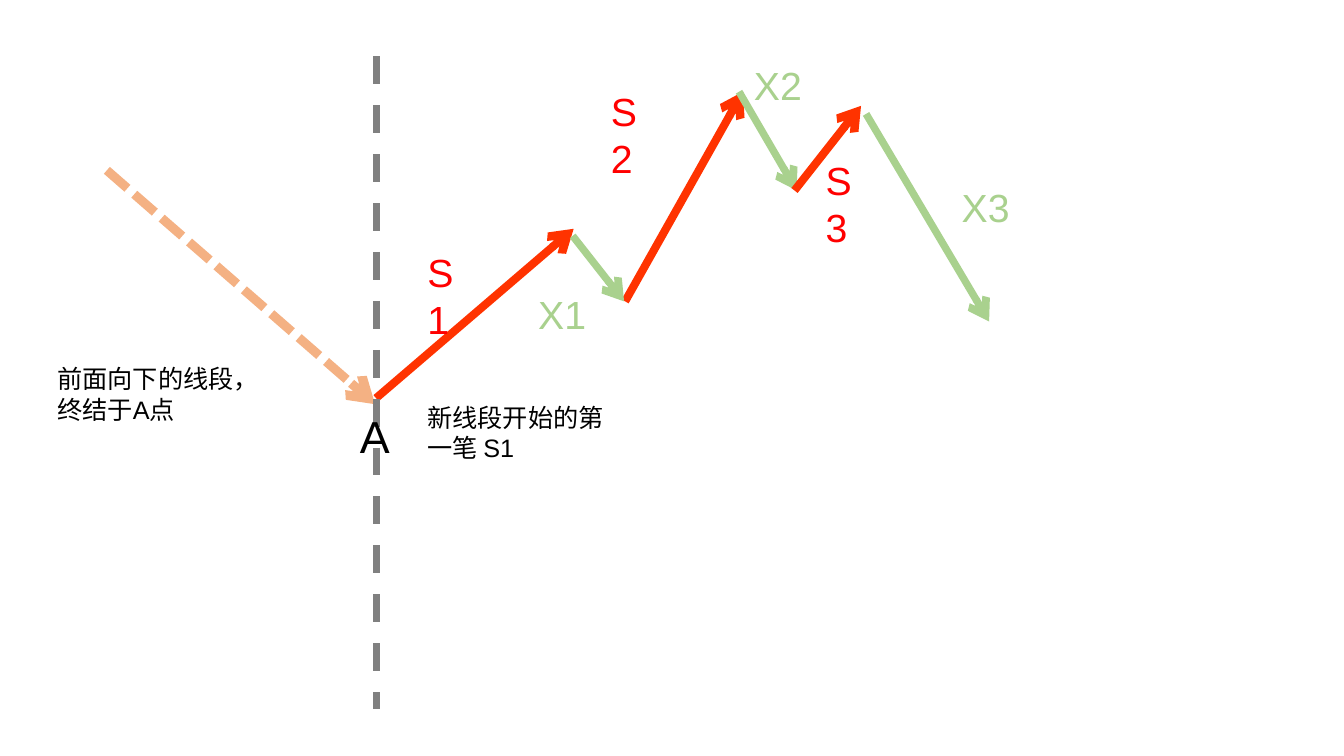
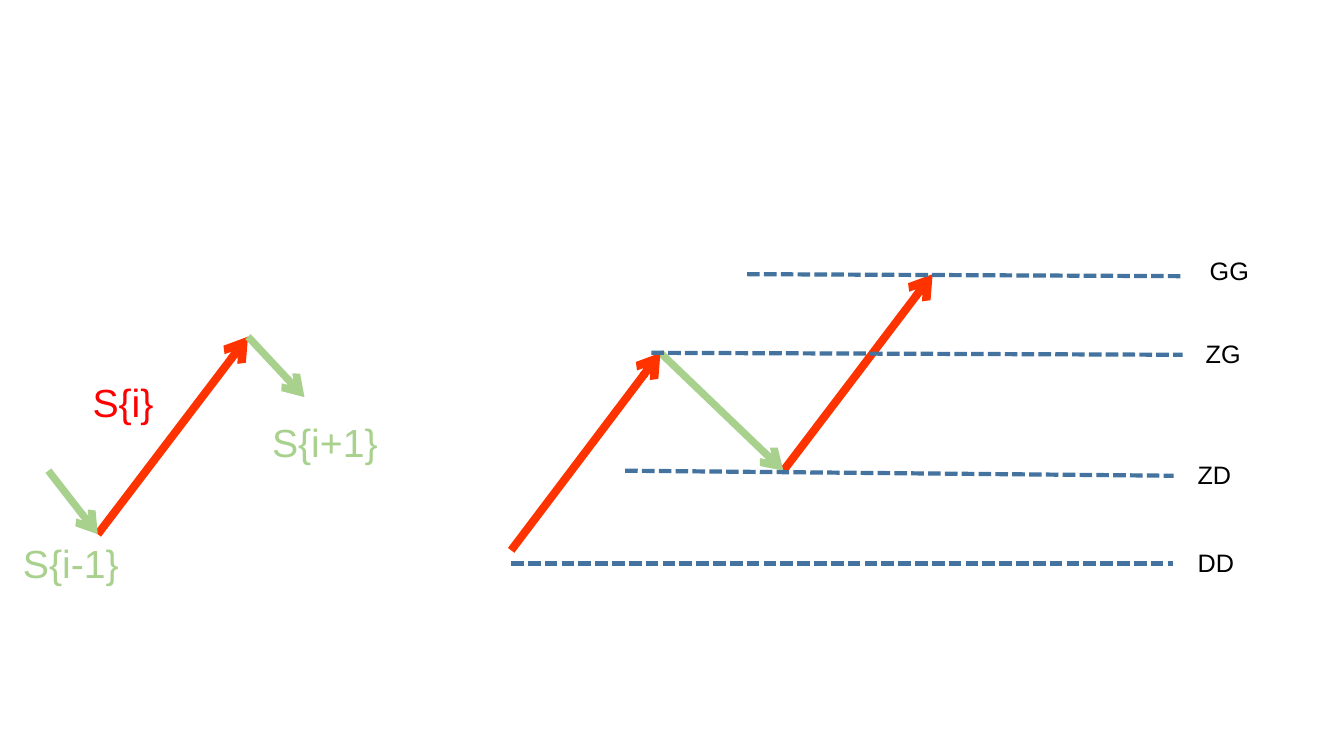
from collections import namedtuple
from dataclasses import dataclass

from lxml import etree
from pptx import Presentation
from pptx.dml.color import RGBColor
from pptx.enum.dml import MSO_LINE
from pptx.enum.shapes import MSO_CONNECTOR
from pptx.enum.text import MSO_AUTO_SIZE
from pptx.oxml.ns import qn
from pptx.util import Pt

STRAIGHT = MSO_CONNECTOR.STRAIGHT
LONG_DASH, SHORT_DASH = MSO_LINE.DASH, MSO_LINE.SQUARE_DOT
GROW = MSO_AUTO_SIZE.SHAPE_TO_FIT_TEXT
PX = 9144  # one px is a hundredth of an inch

Stroke = namedtuple("Stroke", "color width dash arrow")
Lettering = namedtuple("Lettering", "color size")


@dataclass(frozen=True)
class Theme:
    font: str = "Arial"
    # Strokes
    up: Stroke = Stroke("FF3300", 5.75, None, True)
    down: Stroke = Stroke("A9D18E", 5.25, None, True)
    previous: Stroke = Stroke("F4B183", 6.5, SHORT_DASH, True)
    divider: Stroke = Stroke("808080", 5, LONG_DASH, False)
    level: Stroke = Stroke("43739E", 3, SHORT_DASH, False)
    # Lettering
    up_name: Lettering = Lettering("FF0000", 28)
    down_name: Lettering = Lettering("A9D18E", 28)
    point: Lettering = Lettering("000000", 32)
    note: Lettering = Lettering("000000", 18)


THEME = Theme()


def add_stroke(slide, stroke, *ends):
    connector = slide.shapes.add_connector(STRAIGHT, *(end * PX for end in ends))
    line = connector.line
    line.color.rgb = RGBColor.from_string(stroke.color)
    line.width = Pt(stroke.width)
    if stroke.dash is not None:
        line.dash_style = stroke.dash
    properties = connector._element.spPr
    if stroke.arrow:
        etree.SubElement(properties.find(qn("a:ln")), qn("a:tailEnd"), type="arrow")
    etree.SubElement(properties, qn("a:effectLst"))


def add_label(slide, lettering, text, *box, wrap=True):
    frame = slide.shapes.add_textbox(*(length * PX for length in box)).text_frame
    frame.word_wrap = wrap
    frame.auto_size = GROW
    run = frame.paragraphs[0].add_run()
    run.text = text
    run.font.name = THEME.font
    run.font.size = Pt(lettering.size)
    run.font.color.rgb = RGBColor.from_string(lettering.color)


deck = Presentation()
deck.slide_width, deck.slide_height = 1333 * PX, 750 * PX
blank = deck.slide_layouts[6]

# Slide 1: a new segment starts at point A
segment = deck.slides.add_slide(blank)

for stroke, *ends in (
    (THEME.previous, 106, 169, 372, 401),
    (THEME.up, 373, 395, 569, 227),
    (THEME.divider, 373, 56, 373, 703),
    (THEME.up, 620, 299, 737, 91),
    (THEME.down, 568, 234, 619, 299),
    (THEME.down, 733, 91, 790, 189),
    (THEME.up, 788, 189, 854, 105),
    (THEME.down, 859, 113, 981, 319),
):
    add_stroke(segment, stroke, *ends)

# Notes around the starting point
add_label(segment, THEME.note, "前面向下的线段，终结于A点", 47, 356, 239, 71)
add_label(segment, THEME.point, "A", 347, 401, 52, 64, wrap=False)
add_label(segment, THEME.note, "新线段开始的第一笔 S1", 414, 394, 200, 71)

# Names of the rising and falling strokes
for number, (left, top) in enumerate(((414, 241), (596, 82), (809, 150)), 1):
    add_label(segment, THEME.up_name, f"S{number}", left, top, 63, 57)
for number, (left, top) in enumerate(((524, 283), (738, 56), (944, 177)), 1):
    add_label(segment, THEME.down_name, f"X{number}", left, top, 84, 57)

# Slide 2: neighbouring strokes and the price levels
levels = deck.slides.add_slide(blank)

for stroke, *ends in (
    # Stroke i with its neighbours
    (THEME.up, 97, 530, 246, 334),
    (THEME.down, 48, 467, 97, 530),
    (THEME.down, 246, 334, 302, 394),
    # Three overlapping strokes
    (THEME.up, 777, 467, 925, 272),
    (THEME.down, 655, 350, 777, 467),
    (THEME.up, 507, 546, 655, 350),
):
    add_stroke(levels, stroke, *ends)

for lettering, text, left, top, width in (
    (THEME.up_name, "S{i}", 82, 370, 141),
    (THEME.down_name, "S{i-1}", 13, 530, 174),
    (THEME.down_name, "S{i+1}", 260, 410, 198),
):
    add_label(levels, lettering, text, left, top, width, 57)

# Level lines, each with its name at the right
for name, ends, left, top in (
    ("DD", (507, 559, 1163, 559), 1178, 538),
    ("ZG", (646, 350, 1173, 352), 1186, 331),
    ("ZD", (620, 467, 1164, 472), 1178, 451),
    ("GG", (741, 272, 1171, 274), 1190, 248),
):
    add_stroke(levels, THEME.level, *ends)
    add_label(levels, THEME.note, name, left, top, 86, 40)

deck.save("out.pptx")
